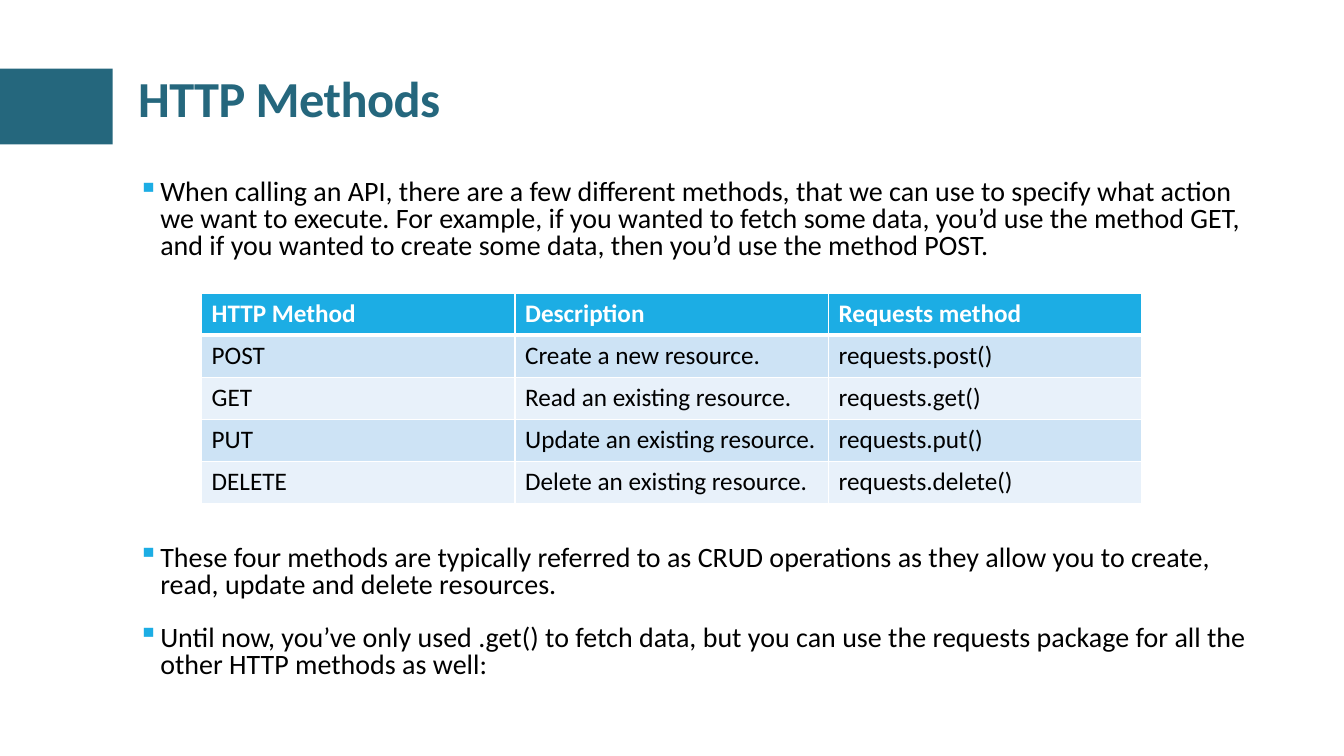
"""Build the HTTP Methods slide with its bullets and method table."""
from dataclasses import dataclass

from lxml.etree import SubElement as Sub
from pptx import Presentation
from pptx.dml.color import RGBColor as RGB
from pptx.enum.shapes import MSO_SHAPE as SHAPE
from pptx.enum.text import MSO_ANCHOR as ANCHOR
from pptx.oxml.ns import qn
from pptx.slide import Slide
from pptx.table import _Cell as Cell
from pptx.text.text import TextFrame, _Paragraph as Paragraph
from pptx.util import Cm, Pt


@dataclass(frozen=True)
class Theme:
    font: str = "Calibri"
    teal: str = "25677D"
    blue: str = "1CADE4"
    bands: tuple[str, str] = ("CDE3F5", "E8F1FA")
    white: str = "FFFFFF"
    black: str = "000000"
    title: int = 36
    body: int = 20
    table: int = 18


@dataclass(frozen=True)
class Box:
    left: float
    top: float
    width: float
    height: float

    def lengths(self) -> tuple[Cm, Cm, Cm, Cm]:
        return Cm(self.left), Cm(self.top), Cm(self.width), Cm(self.height)


@dataclass(frozen=True)
class Bullet:
    text: str
    before: float


T = Theme()
ACCENT = Box(-0.03, 1.73, 2.87, 1.91)
TITLE = Box(3.23, 1.73, 26.09, 1.98)
BODY = Box(3.23, 4.42, 28.55, 13.08)
TABLE = Box(5.08, 7.39, 23.7, 5.3)
INDENT = Cm(0.56)

BULLETS = [
    Bullet("When calling an API, there are a few different methods, that we can use to "
           "specify what action we want to execute. For example, if you wanted to fetch "
           "some data, you’d use the method GET, and if you wanted to create some data, "
           "then you’d use the method POST.", 0),
    Bullet("These four methods are typically referred to as CRUD operations as they allow "
           "you to create, read, update and delete resources.", 203.4),
    Bullet("Until now, you’ve only used .get() to fetch data, but you can use the requests "
           "package for all the other HTTP methods as well:", 18.7),
]

ROWS = [
    ("HTTP Method", "Description", "Requests method"),
    ("POST", "Create a new resource.", "requests.post()"),
    ("GET", "Read an existing resource.", "requests.get()"),
    ("PUT", "Update an existing resource.", "requests.put()"),
    ("DELETE", "Delete an existing resource.", "requests.delete()"),
]


def add_run(p: Paragraph, text: str, size: int, color: str, bold: bool = False):
    r = p.add_run()
    r.text = text
    r.font.name = T.font
    r.font.size = Pt(size)
    r.font.bold = bold
    r.font.color.rgb = RGB.from_string(color)
    return r


def add_text_frame(s: Slide, box: Box) -> TextFrame:
    tf = s.shapes.add_textbox(*box.lengths()).text_frame
    tf.word_wrap = True
    tf.vertical_anchor = ANCHOR.TOP
    return tf


def add_accent(s: Slide) -> None:
    sp = s.shapes.add_shape(SHAPE.RECTANGLE, *ACCENT.lengths())
    sp.shadow.inherit = False
    sp.fill.solid()
    sp.fill.fore_color.rgb = RGB.from_string(T.teal)
    sp.line.fill.background()


def add_title(s: Slide, text: str) -> None:
    p = add_text_frame(s, TITLE).paragraphs[0]
    p.line_spacing = 0.9
    r = add_run(p, text, T.title, T.teal, bold=True)
    r.font._element.set("spc", "-40")


def add_bullets(s: Slide, bullets: list[Bullet]) -> None:
    tf = add_text_frame(s, BODY)
    for i, bullet in enumerate(bullets):
        p = tf.add_paragraph() if i else tf.paragraphs[0]
        p.line_spacing = 0.8
        p.space_before = Pt(bullet.before)
        pr = p._p.get_or_add_pPr()
        pr.set("marL", str(INDENT))
        pr.set("indent", str(-INDENT))
        Sub(Sub(pr, qn("a:buClr")), qn("a:srgbClr"), val=T.blue)
        Sub(pr, qn("a:buChar"), char="▪")
        add_run(p, bullet.text, T.body, T.black)


def set_borders(cell: Cell, bottom: int) -> None:
    pr = cell._tc.get_or_add_tcPr()
    for side, width in (("L", 1), ("R", 1), ("T", 1), ("B", bottom)):
        ln = Sub(pr, qn(f"a:ln{side}"), w=str(Pt(width)))
        Sub(Sub(ln, qn("a:solidFill")), qn("a:srgbClr"), val=T.white)


def add_method_table(s: Slide, rows: list[tuple[str, str, str]]) -> None:
    table = s.shapes.add_table(len(rows), len(rows[0]), *TABLE.lengths()).table
    for i, row in enumerate(rows):
        header = i == 0
        fill = T.blue if header else T.bands[(i - 1) % 2]
        for j, text in enumerate(row):
            cell = table.cell(i, j)
            set_borders(cell, bottom=3 if header else 1)
            cell.fill.solid()
            cell.fill.fore_color.rgb = RGB.from_string(fill)
            add_run(cell.text_frame.paragraphs[0], text, T.table,
                    T.white if header else T.black, bold=header)


def main() -> None:
    prs = Presentation()
    prs.slide_width, prs.slide_height = Cm(33.87), Cm(19.05)
    s = prs.slides.add_slide(prs.slide_layouts[6])
    add_accent(s)
    add_title(s, "HTTP Methods")
    add_bullets(s, BULLETS)
    add_method_table(s, ROWS)
    prs.save("out.pptx")


if __name__ == "__main__":
    main()
